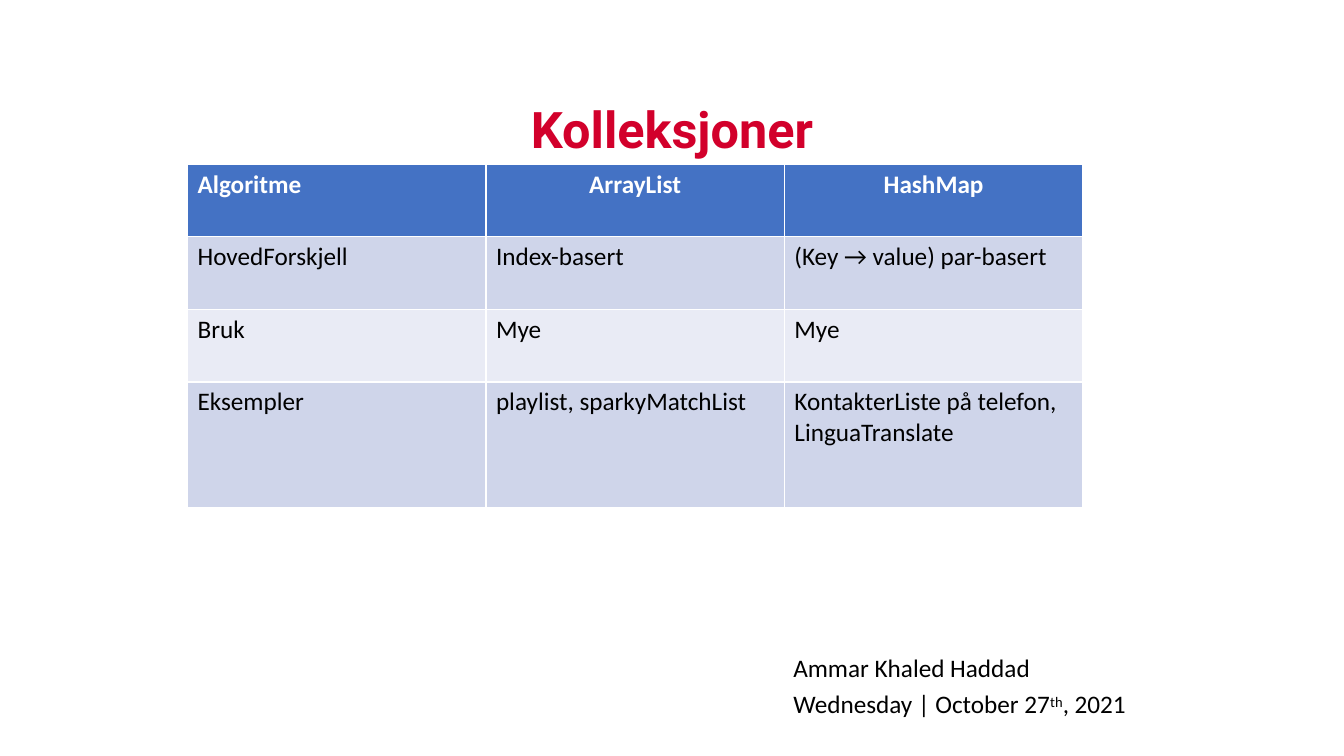
from pptx import Presentation
from pptx.dml.color import RGBColor
from pptx.enum.text import MSO_ANCHOR, PP_ALIGN
from pptx.util import Inches, Pt

CENTER, LEFT = PP_ALIGN.CENTER, PP_ALIGN.LEFT
BOTTOM = MSO_ANCHOR.BOTTOM

COLORS = {
    "title": "D2002B",
    "text": "000000",
    "header_text": "FFFFFF",
    "header": "4472C4",
    "band_dark": "CFD5EA",
    "band_light": "E9EBF5",
}


def style_run(r, color, size=18, font="Calibri", bold=False):
    r.font.name = font
    r.font.size = Pt(size)
    r.font.bold = bold
    r.font.color.rgb = RGBColor.from_string(COLORS[color])


prs = Presentation()
prs.slide_width, prs.slide_height = Inches(13.33), Inches(7.5)
s = prs.slides.add_slide(prs.slide_layouts[6])

# Title
tf = s.shapes.add_textbox(Inches(0), Inches(0.38), Inches(13.33), Inches(1.25)).text_frame
tf.word_wrap = True
tf.vertical_anchor = BOTTOM
p = tf.paragraphs[0]
p.text = "Kolleksjoner"
p.alignment = CENTER
p.line_spacing = 0.9
style_run(p.runs[0], "title", 36, "Roboto", True)

# Author and date
tf = s.shapes.add_textbox(Inches(7.75), Inches(6.42), Inches(7.03), Inches(0.76)).text_frame
tf.word_wrap = True
lines = [
    (4.8, ["Ammar Khaled Haddad"]),
    (4.2, ["Wednesday | October 27", "th", ", 2021"]),
]
for i, (space, parts) in enumerate(lines):
    p = tf.paragraphs[0] if i == 0 else tf.add_paragraph()
    p.space_before = Pt(space)
    p._p.get_or_add_pPr().set("marL", str(Inches(0.02)))
    for part in parts:
        r = p.add_run()
        r.text = part
        style_run(r, "text")
        if part == "th":
            r._r.get_or_add_rPr().set("baseline", "25000")

# Comparison table; its default style draws the white borders
rows = [
    ("Algoritme", "ArrayList", "HashMap"),
    ("HovedForskjell", "Index-basert", "(Key → value) par-basert"),
    ("Bruk", "Mye", "Mye"),
    ("Eksempler", "playlist, sparkyMatchList", "KontakterListe på telefon, LinguaTranslate"),
]
row_heights = [0.72, 0.72, 0.72, 1.25]
table = s.shapes.add_table(
    len(rows), 3, Inches(1.86), Inches(1.63), Inches(8.89), Inches(3.42)
).table
for column in table.columns:
    column.width = Inches(2.96)
for i, (texts, height) in enumerate(zip(rows, row_heights)):
    table.rows[i].height = Inches(height)
    is_header = i == 0
    fill = "header" if is_header else "band_dark" if i % 2 else "band_light"
    for j, text in enumerate(texts):
        cell = table.cell(i, j)
        cell.fill.solid()
        cell.fill.fore_color.rgb = RGBColor.from_string(COLORS[fill])
        p = cell.text_frame.paragraphs[0]
        p.text = text
        p.alignment = CENTER if is_header and j > 0 else LEFT
        style_run(p.runs[0], "header_text" if is_header else "text", bold=is_header)

prs.save("out.pptx")
